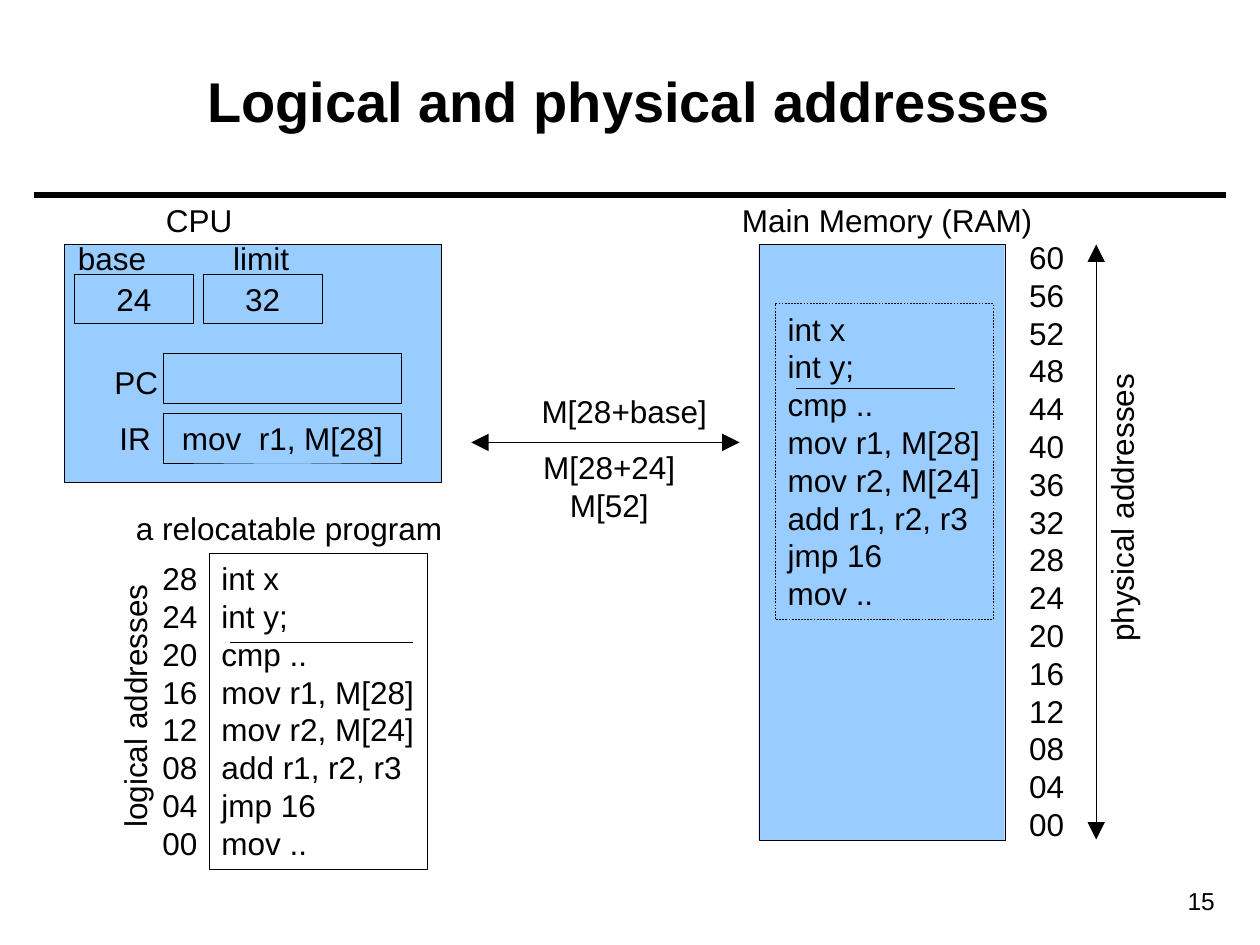
from lxml import etree
from pptx import Presentation
from pptx.dml.color import RGBColor
from pptx.enum.dml import MSO_LINE
from pptx.enum.shapes import MSO_CONNECTOR, MSO_SHAPE
from pptx.enum.text import MSO_ANCHOR, PP_ALIGN
from pptx.oxml.ns import qn
from pptx.util import Pt

BLACK, BLUE = "000000", "99CCFF"
LEFT, CENTER, RIGHT = PP_ALIGN.LEFT, PP_ALIGN.CENTER, PP_ALIGN.RIGHT
TOP, MIDDLE = MSO_ANCHOR.TOP, MSO_ANCHOR.MIDDLE
PROGRAM = ["int x", "int y;", "cmp ..", "mov r1, M[28]", "mov r2, M[24]",
           "add r1, r2, r3", "jmp 16", "mov .."]


def rgb(value):
    return RGBColor.from_string(value)


def write(sp, lines, align=LEFT, anchor=TOP, wrap=False, size=18, bold=False):
    tf = sp.text_frame
    tf.word_wrap = wrap
    tf.vertical_anchor = anchor
    tf.text = "\n".join(lines)
    for p in tf.paragraphs:
        p.alignment = align
        p.line_spacing = Pt(1.2 * size)
        for r in p.runs:
            r.font.name, r.font.size, r.font.bold = "Arial", Pt(size), bold
            r.font.color.rgb = rgb(BLACK)


def label(s, x, y, w, h, lines, rotation=0, **style):
    sp = s.shapes.add_textbox(Pt(x), Pt(y), Pt(w), Pt(h))
    sp.rotation = rotation
    write(sp, lines, **style)
    return sp


def box(s, x, y, w, h, lines=(), fill=None, dash=None, **style):
    sp = s.shapes.add_shape(MSO_SHAPE.RECTANGLE, Pt(x), Pt(y), Pt(w), Pt(h))
    sp.shadow.inherit = False
    if fill:
        sp.fill.solid()
        sp.fill.fore_color.rgb = rgb(fill)
    else:
        sp.fill.background()
    sp.line.color.rgb = rgb(BLACK)
    sp.line.width = Pt(0.25)
    if dash:
        sp.line.dash_style = dash
    if lines:
        write(sp, lines, **style)


def line(s, x1, y1, x2, y2, width=0.25, arrows=False):
    cx = s.shapes.add_connector(MSO_CONNECTOR.STRAIGHT, Pt(x1), Pt(y1), Pt(x2), Pt(y2))
    cx.line.color.rgb = rgb(BLACK)
    cx.line.width = Pt(width)
    if arrows:
        ln = cx.line._get_or_add_ln()
        for end in ("a:headEnd", "a:tailEnd"):
            etree.SubElement(ln, qn(end), type="triangle", w="lg", len="lg")
    etree.SubElement(cx._element.spPr, qn("a:effectLst"))


def add_tab_stop(sp, position):
    pPr = sp.text_frame.paragraphs[0]._p.get_or_add_pPr()
    tabs = etree.SubElement(pPr, qn("a:tabLst"))
    etree.SubElement(tabs, qn("a:tab"), pos=str(Pt(position)), algn="l")


def addresses(highest):
    return [f"{a:02d}" for a in range(highest, -1, -4)]


def program(s, x, y, divider_y, divider_width, dash=None):
    """Draw the program listing with a divider between data and code."""
    box(s, x, y, 124.5, 180.5, PROGRAM, dash=dash, wrap=True)
    line(s, x + 12, divider_y, x + 12 + divider_width, divider_y)


def draw_cpu(s):
    label(s, 87.8, 111.6, 56, 28.8, ["CPU"])
    box(s, 36.9, 139.7, 215.3, 136.1, fill=BLUE)
    registers = label(s, 37.4, 133.2, 150, 28.8, ["base\tlimit"], wrap=True)
    add_tab_stop(registers, 88.8)
    for x, value in ((42.5, "24"), (116, "32")):
        box(s, x, 157, 68, 28, [value], align=CENTER, anchor=MIDDLE)
    label(s, 58.3, 203.8, 42, 28.8, ["PC"])
    box(s, 93.4, 202, 136.1, 28.3)
    label(s, 61.2, 235.8, 36, 28.8, ["IR"])
    box(s, 93.4, 236.2, 136.1, 28.3, ["mov  r1, M[28]"], align=CENTER, anchor=MIDDLE)


def draw_relocatable_program(s):
    label(s, 70.6, 287.3, 194, 28.8, ["a relocatable program"])
    program(s, 119.5, 316, 367.2, 104.4)
    label(s, 85.7, 316, 45.4, 180, addresses(28), wrap=True)
    label(s, 0, 388.8, 154, 28.8, ["logical addresses"], rotation=270)


def draw_memory(s):
    label(s, 416.9, 111.6, 190, 28.8, ["Main Memory (RAM)"])
    box(s, 433.6, 139.7, 140.6, 340.5, fill=BLUE)
    program(s, 443, 173.4, 221.8, 90.7, dash=MSO_LINE.DASH)
    label(s, 581, 132.5, 45.4, 353.5, addresses(60), wrap=True)
    line(s, 626.4, 139.7, 626.4, 479.7, arrows=True)
    label(s, 550.8, 275.8, 180, 28.8, ["physical addresses"], rotation=270, align=CENTER)


def draw_access(s):
    label(s, 302.4, 220.3, 114, 28.8, ["M[28+base]"])
    line(s, 269.3, 252.8, 422.6, 252.8, arrows=True)
    label(s, 300.1, 252.7, 96, 50.4, ["M[28+24]", "M[52]"], align=CENTER)


def main():
    prs = Presentation()
    prs.slide_width, prs.slide_height = Pt(720), Pt(540)
    s = prs.slides.add_slide(prs.slide_layouts[6])
    label(s, 25.2, 12.2, 669, 90, ["Logical and physical addresses"],
          align=CENTER, anchor=MIDDLE, wrap=True, size=32, bold=True)
    line(s, 19.5, 111.4, 700.5, 111.4, width=3)
    draw_cpu(s)
    draw_relocatable_program(s)
    draw_memory(s)
    draw_access(s)
    label(s, 626.4, 502.6, 74.9, 24.5, ["15"], align=RIGHT, wrap=True, size=14)
    prs.save("out.pptx")


if __name__ == "__main__":
    main()
